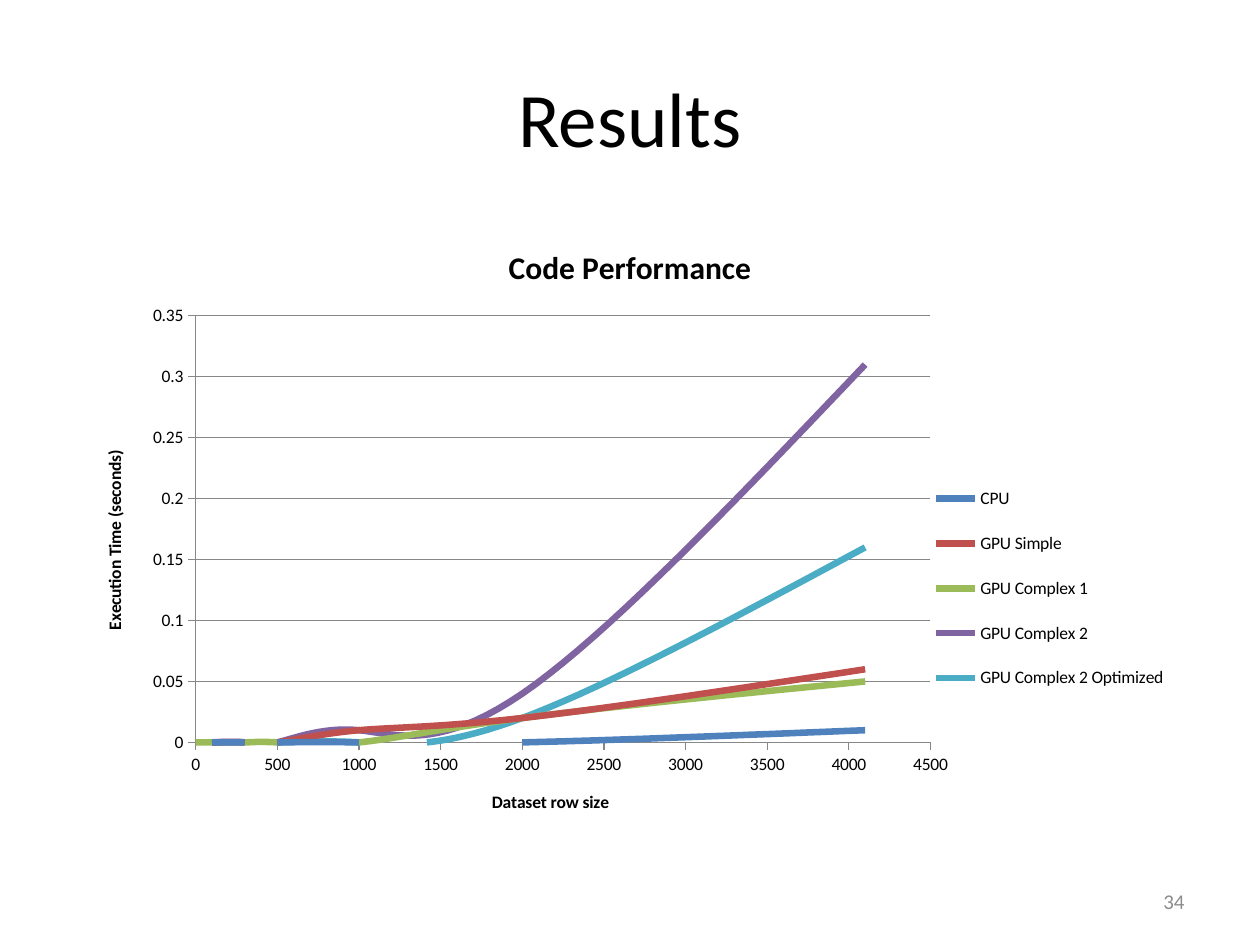
from lxml import etree
from pptx import Presentation
from pptx.chart.data import XyChartData
from pptx.dml.color import RGBColor
from pptx.enum.chart import XL_CHART_TYPE as ChartType, XL_LEGEND_POSITION as LegendPos
from pptx.enum.chart import XL_TICK_MARK as Tick
from pptx.enum.text import MSO_ANCHOR as Anchor, PP_ALIGN as Align
from pptx.oxml.ns import qn
from pptx.util import Inches, Pt

COLORS = {
    "text": "000000", "muted": "8C8C8C", "grid": "878787",
    "CPU": "4F81BD", "GPU Simple": "C0504D", "GPU Complex 1": "9BBB59",
    "GPU Complex 2": "8064A2", "GPU Complex 2 Optimized": "4BACC6",
}

# Execution time in seconds for each dataset row size
ROW_SIZES = [0, 100, 100, 300, 500, 1000, 2000, 4100]
TIMES = {
    "CPU": [0, 0, 0, 0, 0, 0, 0, 0.01],
    "GPU Simple": [0, 0, 0, 0, 0, 0.01, 0.02, 0.06],
    "GPU Complex 1": [0, 0, 0, 0, 0, 0, 0.02, 0.05],
    "GPU Complex 2": [0, 0, 0, 0, 0, 0.01, 0.04, 0.31],
    "GPU Complex 2 Optimized": [0, 0, 0, 0, 0, 0, 0.02, 0.16],
}


class SlideBuilder:
    def __init__(self, slide, font="Calibri"):
        self.slide = slide
        self.font = font

    def rgb(self, name):
        return RGBColor.from_string(COLORS[name])

    def style(self, font, size, color="text", bold=False):
        font.name, font.size, font.bold = self.font, Pt(size), bold
        font.color.rgb = self.rgb(color)

    def line(self, fmt, color, width):
        fmt.line.color.rgb = self.rgb(color)
        fmt.line.width = Pt(width)

    def text(self, text, box, size, align, color="text"):
        tf = self.slide.shapes.add_textbox(*map(Inches, box)).text_frame
        tf.word_wrap = True
        tf.vertical_anchor = Anchor.MIDDLE
        p = tf.paragraphs[0]
        p.text, p.alignment = text, align
        self.style(p.font, size, color)

    def title(self, title, text, size):
        """Fill a chart title or an axis title."""
        p = title.text_frame.paragraphs[0]
        p.text = text
        self.style(p.font, size, bold=True)

    def layout(self, parent, index, box, inner=False):
        """Place a chart part by fractions of the chart's size."""
        for old in parent.findall(qn("c:layout")):
            parent.remove(old)
        layout = etree.Element(qn("c:layout"))
        manual = etree.SubElement(layout, qn("c:manualLayout"))
        values = [("layoutTarget", "inner")] if inner else []
        values += [("xMode", "edge"), ("yMode", "edge"), *zip("xywh", box)]
        for tag, value in values:
            etree.SubElement(manual, qn(f"c:{tag}")).set("val", str(value))
        parent.insert(index, layout)

    def axis(self, axis, title, maximum, step, grid):
        self.title(axis.axis_title, title, 10)
        axis.minimum_scale, axis.maximum_scale, axis.major_unit = 0, maximum, step
        axis.major_tick_mark, axis.minor_tick_mark = Tick.OUTSIDE, Tick.NONE
        axis.has_major_gridlines = grid
        if grid:
            self.line(axis.major_gridlines.format, "grid", 0.75)
        self.line(axis.format, "grid", 0.75)
        axis.tick_labels.number_format = "General"
        axis.tick_labels.number_format_is_linked = False
        self.style(axis.tick_labels.font, 10)

    def scatter(self, title, box):
        data = XyChartData()
        for name, times in TIMES.items():
            series = data.add_series(name)
            for point in zip(ROW_SIZES, times):
                series.add_data_point(*point)
        chart = self.slide.shapes.add_chart(
            ChartType.XY_SCATTER_SMOOTH_NO_MARKERS, *map(Inches, box), data).chart
        self.style(chart.font, 10)
        self.title(chart.chart_title, title, 18)
        chart.chart_title.include_in_layout = False
        chart.plots[0].vary_by_categories = False
        for series in chart.plots[0].series:
            self.line(series.format, series.name, 3.75)

        # Smooth curves
        root = chart.element.find(qn("c:chart"))
        for smooth in root.iter(qn("c:smooth")):
            smooth.set("val", "1")

        # Axes
        self.axis(chart.category_axis, "Dataset row size", 4500, 500, False)
        self.axis(chart.value_axis, "Execution Time (seconds)", 0.35, 0.05, True)

        # Legend and plot area
        chart.has_legend = True
        legend = chart.legend
        legend.position = LegendPos.RIGHT
        legend.include_in_layout = False
        self.style(legend.font, 10)
        self.layout(root.find(qn("c:legend")), 1, (0.76, 0.39, 0.22, 0.4))
        self.layout(root.find(qn("c:plotArea")), 0, (0.117, 0.153, 0.648, 0.684), True)


def main():
    prs = Presentation()
    prs.slide_width, prs.slide_height = Inches(10), Inches(7.5)
    s = SlideBuilder(prs.slides.add_slide(prs.slide_layouts[6]))

    # Heading, chart and page number
    s.text("Results", (0.5, 0.3, 9, 1.25), 44, Align.CENTER)
    s.scatter("Code Performance", (0.5, 1.75, 9, 4.95))
    s.text("34", (7.17, 6.95, 2.33, 0.4), 12, Align.RIGHT, "muted")

    prs.save("out.pptx")


if __name__ == "__main__":
    main()
